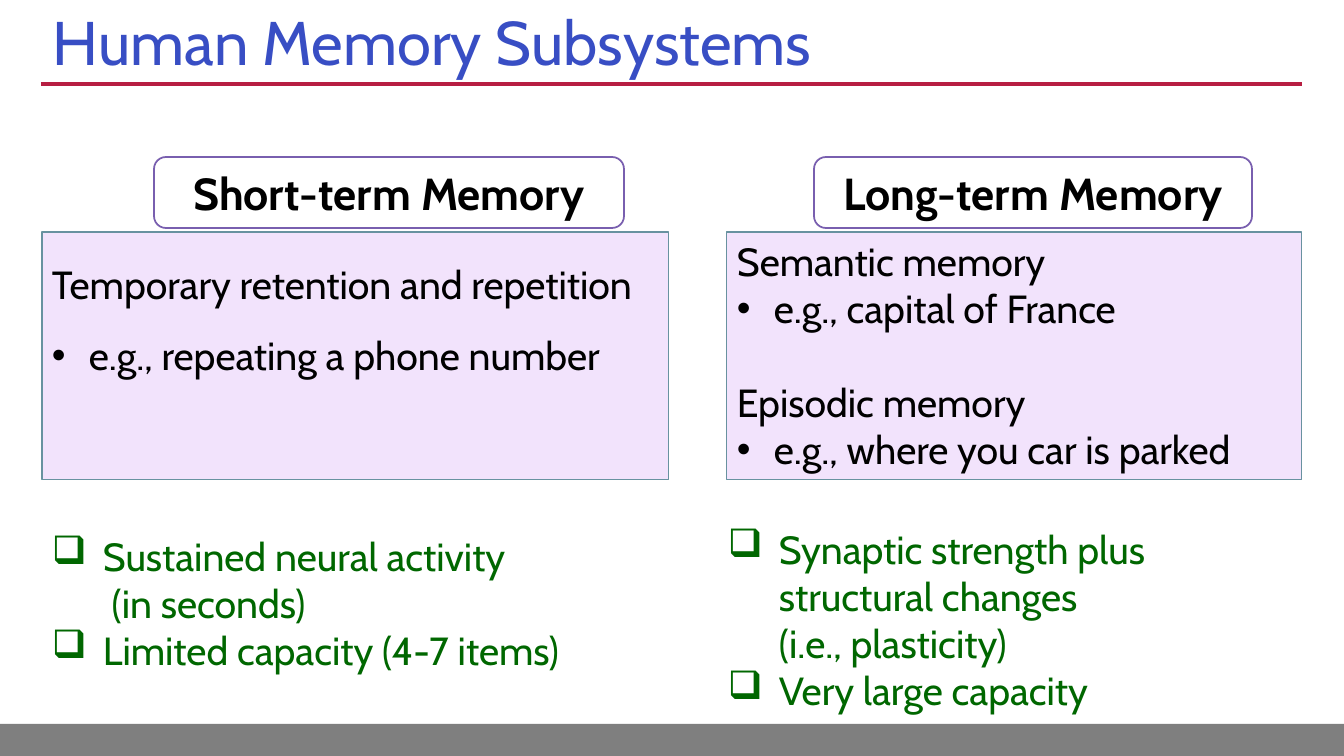
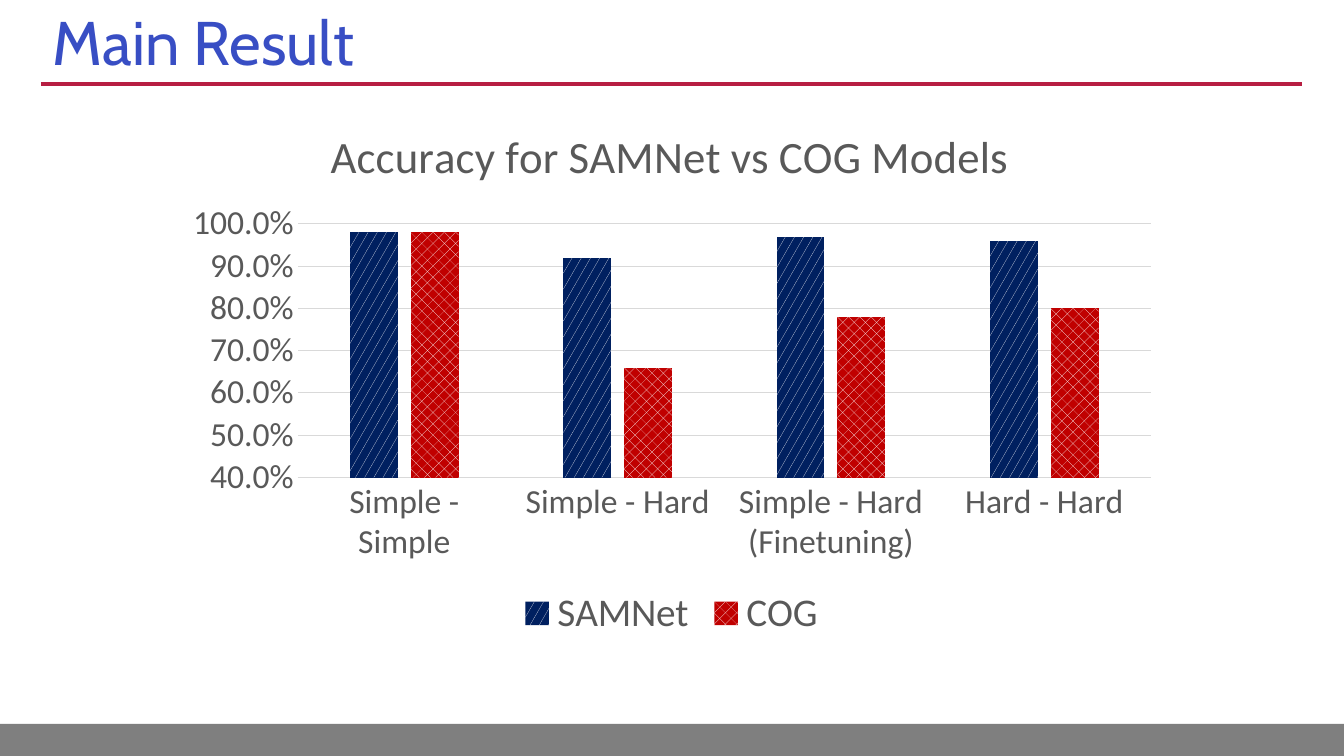
"""Build two slides on human memory subsystems and model accuracy."""
from lxml import etree
from pptx import Presentation
from pptx.chart.data import CategoryChartData
from pptx.dml.color import RGBColor
from pptx.enum.chart import XL_CHART_TYPE as CHART, XL_LEGEND_POSITION as LEGEND
from pptx.enum.chart import XL_TICK_MARK as TICK
from pptx.enum.dml import MSO_PATTERN as PATTERN
from pptx.enum.shapes import MSO_CONNECTOR as CONNECTOR, MSO_SHAPE as SHAPE
from pptx.enum.text import MSO_ANCHOR as ANCHOR, PP_ALIGN as ALIGN
from pptx.oxml.ns import qn
from pptx.util import Emu, Pt

WHITE = RGBColor(0xFF, 0xFF, 0xFF)
BLACK = RGBColor(0, 0, 0)
BLUE = RGBColor(0x38, 0x4E, 0xC4)
CRIMSON = RGBColor(0xB7, 0x1E, 0x42)
GRAY = RGBColor(0x7F, 0x7F, 0x7F)
LILAC = RGBColor(0xF2, 0xE3, 0xFC)
TEAL = RGBColor(0x68, 0x92, 0xA0)
PURPLE = RGBColor(0x79, 0x5F, 0xAF)
GREEN = RGBColor(0x00, 0x67, 0x00)
NAVY = RGBColor(0x00, 0x20, 0x60)
RED = RGBColor(0xC0, 0x00, 0x00)
CHART_TEXT = RGBColor(0x59, 0x59, 0x59)
GRID = RGBColor(0xD9, 0xD9, 0xD9)

WIDTH, HEIGHT = 1344, 756
BODY_FONT, CHART_FONT = "Cabin", "Calibri"
DOT, BOX = ("•", "Arial", 37), ("q", "Wingdings", 51)

MEMORIES = [
    {
        "heading": ("Short-term Memory", (154, 157, 470, 71)),
        "examples": [("Temporary retention and repetition", None, 0),
                     ("e.g., repeating a phone number", DOT, 0)],
        "panel": (42, 232, 627, 248),
        "spacing": 1.5,
        "traits": [("Sustained neural activity\n (in seconds)", BOX, 0),
                   ("Limited capacity (4-7 items)", BOX, 0)],
        "traits_at": (42, 527, 627, 152),
    },
    {
        "heading": ("Long-term Memory", (814, 157, 438, 71)),
        "examples": [("Semantic memory", None, 0),
                     ("e.g., capital of France", DOT, 0),
                     ("Episodic memory", None, 34),
                     ("e.g., where you car is parked", DOT, 0)],
        "panel": (727, 232, 575, 248),
        "spacing": 1.0,
        "traits": [("Synaptic strength plus structural changes \n(i.e., plasticity)", BOX, 0),
                   ("Very large capacity", BOX, 0)],
        "traits_at": (718, 520, 575, 201),
    },
]

ACCURACY_TITLE = "Accuracy for SAMNet vs COG Models"
SETUPS = ["Simple - Simple", "Simple - Hard", "Simple - Hard (Finetuning)", "Hard - Hard"]
MODELS = [
    ("SAMNet", (0.98, 0.92, 0.97, 0.96), PATTERN.SMALL_CONFETTI, NAVY),
    ("COG", (0.98, 0.66, 0.78, 0.8), PATTERN.PERCENT_25, RED),
]
CHART_AT = (173, 112, 997, 533)
PLOT_AT = {"x": 0.125, "y": 0.21, "w": 0.856, "h": 0.476}
CHART_TITLE_AT = {"x": 0.15, "y": 0.01}


def px(length):
    """Turn px into EMU."""
    return Emu(round(length * 914400 / 100.8))


def place(box):
    """Turn a px box into EMU."""
    return [px(length) for length in box]


def style_font(font, size, color, name, bold=False):
    """Set the look of a font."""
    font.size, font.name, font.bold = Pt(size), name, bold
    font.color.rgb = color


def write(shape, lines, size=28, color=BLACK, bold=False, align=ALIGN.LEFT,
          anchor=ANCHOR.TOP, spacing=1.0):
    """Fill a shape with (text, bullet, space before) paragraphs."""
    frame = shape.text_frame
    frame.word_wrap = True
    frame.vertical_anchor = anchor
    for index, (text, bullet, gap) in enumerate(lines):
        paragraph = frame.add_paragraph() if index else frame.paragraphs[0]
        paragraph.text = text
        paragraph.alignment = align
        paragraph.line_spacing = spacing
        if gap:
            paragraph.space_before = Pt(gap)
        if bullet:
            mark, typeface, indent = bullet
            properties = paragraph._p.get_or_add_pPr()
            properties.set("marL", str(px(indent)))
            properties.set("indent", str(-px(indent)))
            etree.SubElement(properties, qn("a:buFont")).set("typeface", typeface)
            etree.SubElement(properties, qn("a:buChar")).set("char", mark)
        for run in paragraph.runs:
            style_font(run.font, size, color, BODY_FONT, bold)


def add_block(slide, kind, box, fill, line=None, weight=0.75):
    """Draw a flat filled shape."""
    block = slide.shapes.add_shape(kind, *place(box))
    block.shadow.inherit = False
    block.fill.solid()
    block.fill.fore_color.rgb = fill
    if line is None:
        block.line.fill.background()
    else:
        block.line.color.rgb = line
        block.line.width = Pt(weight)
    return block


def add_slide(deck, title):
    """Add a slide with the shared title, rule and footer band."""
    slide = deck.slides.add_slide(deck.slide_layouts[6])
    rule = slide.shapes.add_connector(CONNECTOR.STRAIGHT, *place((41, 84, 1302, 84)))
    rule.line.color.rgb = CRIMSON
    rule.line.width = Pt(2.5)
    etree.SubElement(rule._element.spPr, qn("a:effectLst"))
    add_block(slide, SHAPE.RECTANGLE, (0, 724, WIDTH, HEIGHT - 724), GRAY)
    heading = slide.shapes.add_textbox(*place((43, 9, 1260, 74)))
    write(heading, [(title, None, 0)], size=44, color=BLUE, anchor=ANCHOR.MIDDLE, spacing=0.9)
    return slide


def add_memory(slide, memory):
    """Draw one memory type: examples, heading and traits."""
    panel = add_block(slide, SHAPE.RECTANGLE, memory["panel"], LILAC, TEAL)
    write(panel, memory["examples"], spacing=memory["spacing"])
    name, box = memory["heading"]
    heading = add_block(slide, SHAPE.ROUNDED_RECTANGLE, box, WHITE, PURPLE, 1.25)
    write(heading, [(name, None, 0)], size=32, bold=True, align=ALIGN.CENTER,
          anchor=ANCHOR.MIDDLE)
    traits = slide.shapes.add_textbox(*place(memory["traits_at"]))
    write(traits, memory["traits"], color=GREEN)


def set_layout(parent, fractions, position):
    """Pin a chart part to fractions of the chart area."""
    layout = parent.find(qn("c:layout"))
    if layout is None:
        layout = etree.Element(qn("c:layout"))
        parent.insert(position, layout)
    manual = etree.SubElement(layout, qn("c:manualLayout"))
    settings = {"xMode": "edge", "yMode": "edge", **fractions}
    if "w" in fractions:
        settings = {"layoutTarget": "inner", **settings}
    for tag, value in settings.items():
        etree.SubElement(manual, qn(f"c:{tag}")).set("val", str(value))


def add_accuracy_chart(slide):
    """Draw the clustered column chart of accuracies."""
    data = CategoryChartData(number_format="0.0%")
    data.categories = SETUPS
    for name, values, _, _ in MODELS:
        data.add_series(name, values)
    chart = slide.shapes.add_chart(CHART.COLUMN_CLUSTERED, *place(CHART_AT), data).chart
    style_font(chart.font, 10, BLACK, CHART_FONT)

    chart.has_title = True
    title = chart.chart_title
    title.text_frame.text = ACCURACY_TITLE
    style_font(title.text_frame.paragraphs[0].runs[0].font, 32, CHART_TEXT, CHART_FONT)
    set_layout(title._element, CHART_TITLE_AT, 1)
    set_layout(chart._chartSpace.chart.plotArea, PLOT_AT, 0)

    chart.has_legend = True
    chart.legend.position = LEGEND.BOTTOM
    chart.legend.include_in_layout = False
    style_font(chart.legend.font, 28, CHART_TEXT, CHART_FONT)

    setups, accuracy = chart.category_axis, chart.value_axis
    for axis in (setups, accuracy):
        axis.major_tick_mark = axis.minor_tick_mark = TICK.NONE
        style_font(axis.tick_labels.font, 24, CHART_TEXT, CHART_FONT)
    accuracy.minimum_scale, accuracy.maximum_scale = 0.4, 1
    accuracy.major_unit = 0.1
    accuracy.tick_labels.number_format = "0.0%"
    accuracy.tick_labels.number_format_is_linked = False
    accuracy.format.line.fill.background()
    for line in (setups.format.line, accuracy.major_gridlines.format.line):
        line.color.rgb = GRID
        line.width = Pt(0.75)

    plot = chart.plots[0]
    plot.gap_width, plot.overlap, plot.vary_by_categories = 219, -27, False
    for series, (_, _, pattern, color) in zip(plot.series, MODELS):
        fill = series.format.fill
        fill.patterned()
        fill.pattern = pattern
        fill.fore_color.rgb = WHITE
        fill.back_color.rgb = color


def main():
    """Build and save the slides."""
    deck = Presentation()
    deck.slide_width, deck.slide_height = px(WIDTH), px(HEIGHT)
    subsystems = add_slide(deck, "Human Memory Subsystems")
    for memory in MEMORIES:
        add_memory(subsystems, memory)
    add_accuracy_chart(add_slide(deck, "Main Result"))
    deck.save("out.pptx")


if __name__ == "__main__":
    main()
